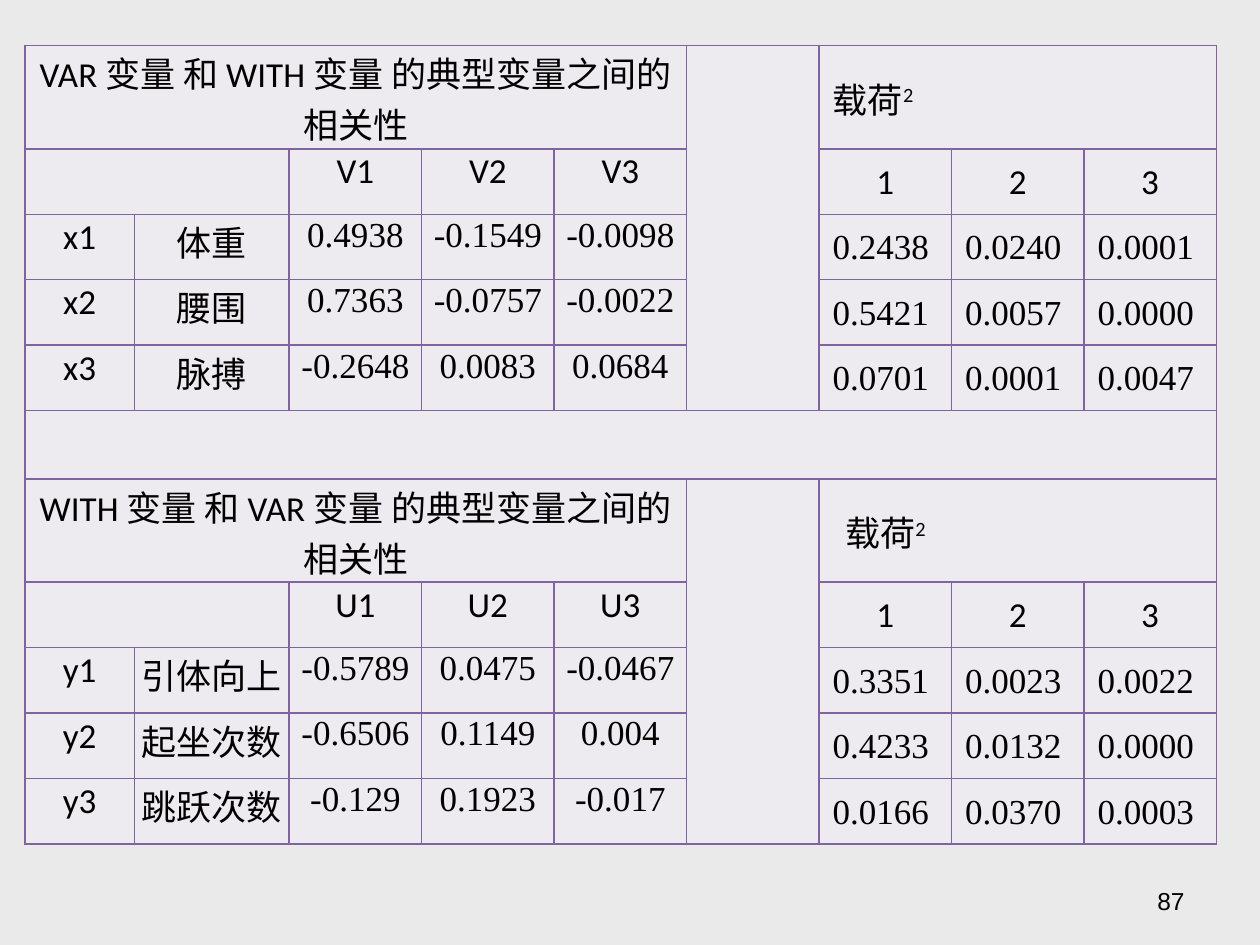
from dataclasses import dataclass

from lxml import etree
from pptx import Presentation
from pptx import util as u
from pptx.dml.color import RGBColor
from pptx.enum import text
from pptx.oxml import ns


@dataclass(frozen=True)
class Theme:
    background: str = "EAEAEA"
    cell: str = "EDEAF0"
    border: str = "8064A2"
    ink: str = "000000"
    label_font: str = "Calibri"
    number_font: str = "Times New Roman"
    page_font: str = "Arial"
    table_size: int = 20
    page_size: int = 14
    border_width: int = 1


THEME = Theme()
CENTER = text.PP_ALIGN.CENTER
MIDDLE = text.MSO_ANCHOR.MIDDLE
TOP = text.MSO_ANCHOR.TOP

COLUMN_WIDTHS = [2.21, 3.12] + [2.67] * 7
BLOCK_HEIGHTS = [1.73] + [1.32] * 4
ROW_HEIGHTS = BLOCK_HEIGHTS + [1.38] + BLOCK_HEIGHTS
GAP_ROW = 5
GAP_COLUMN = 5

BLOCKS = [
    dict(
        first_row=0,
        heading="VAR 变量 和 WITH 变量 的典型变量之间的相关性",
        indent=0.25,
        variates=["V1", "V2", "V3"],
        measures=[
            ("x1", "体重", ["0.4938", "-0.1549", "-0.0098"], ["0.2438", "0.0240", "0.0001"]),
            ("x2", "腰围", ["0.7363", "-0.0757", "-0.0022"], ["0.5421", "0.0057", "0.0000"]),
            ("x3", "脉搏", ["-0.2648", "0.0083", "0.0684"], ["0.0701", "0.0001", "0.0047"]),
        ],
    ),
    dict(
        first_row=6,
        heading="WITH 变量 和 VAR 变量 的典型变量之间的相关性",
        indent=0.5,
        variates=["U1", "U2", "U3"],
        measures=[
            ("y1", "引体向上", ["-0.5789", "0.0475", "-0.0467"], ["0.3351", "0.0023", "0.0022"]),
            ("y2", "起坐次数", ["-0.6506", "0.1149", "0.004"], ["0.4233", "0.0132", "0.0000"]),
            ("y3", "跳跃次数", ["-0.129", "0.1923", "-0.017"], ["0.0166", "0.0370", "0.0003"]),
        ],
    ),
]


def write(paragraph, wording, font=THEME.label_font, size=THEME.table_size,
          color=THEME.ink, align=None, indent=0, raised=False):
    if align is not None:
        paragraph.alignment = align
    if indent:
        paragraph._p.get_or_add_pPr().set("indent", str(u.Cm(indent)))
    run = paragraph.add_run()
    run.text = wording
    run.font.name = font
    run.font.size = u.Pt(size)
    run.font.color.rgb = RGBColor.from_string(color)
    if raised:
        run._r.get_or_add_rPr().set("baseline", "30000")


class SlideBuilder:
    def __init__(self, theme, slide):
        self.theme = theme
        self.slide = slide

    def background(self):
        fill = self.slide.background.fill
        fill.solid()
        fill.fore_color.rgb = RGBColor.from_string(self.theme.background)

    def table(self, left, top, widths, heights):
        frame = self.slide.shapes.add_table(
            len(heights), len(widths), u.Cm(left), u.Cm(top),
            u.Cm(sum(widths)), u.Cm(sum(heights)))
        grid = frame.table
        grid.first_row = grid.horz_banding = False
        for column, width in zip(grid.columns, widths):
            column.width = u.Cm(width)
        for row, height in zip(grid.rows, heights):
            row.height = u.Cm(height)
        for cell in grid.iter_cells():
            self.cell_style(cell)
        return grid

    def cell_style(self, cell):
        cell.margin_left = cell.margin_right = cell.margin_top = u.Cm(0.03)
        cell.margin_bottom = 0
        properties = cell._tc.get_or_add_tcPr()
        for side in ("lnL", "lnR", "lnT", "lnB"):
            line = etree.SubElement(properties, ns.qn(f"a:{side}"),
                                    w=str(u.Pt(self.theme.border_width)))
            solid = etree.SubElement(line, ns.qn("a:solidFill"))
            etree.SubElement(solid, ns.qn("a:srgbClr"), val=self.theme.border)
        cell.fill.solid()
        cell.fill.fore_color.rgb = RGBColor.from_string(self.theme.cell)

    def cells(self, grid, row, first_column, wordings, anchor=TOP, **style):
        for column, wording in enumerate(wordings, first_column):
            cell = grid.cell(row, column)
            cell.vertical_anchor = anchor
            write(cell.text_frame.paragraphs[0], wording, align=CENTER, **style)

    def block(self, grid, first_row, heading, indent, variates, measures):
        header_row = first_row + 1
        last_row = first_row + len(measures) + 1
        loading_column = GAP_COLUMN + 1
        for start, end in (
            ((first_row, 0), (first_row, GAP_COLUMN - 1)),
            ((first_row, GAP_COLUMN), (last_row, GAP_COLUMN)),
            ((first_row, loading_column), (first_row, loading_column + 2)),
            ((header_row, 0), (header_row, 1)),
        ):
            grid.cell(*start).merge(grid.cell(*end))

        self.cells(grid, first_row, 0, [heading])
        loading = grid.cell(first_row, loading_column)
        loading.vertical_anchor = MIDDLE
        loading_line = loading.text_frame.paragraphs[0]
        write(loading_line, "载荷", indent=indent)
        write(loading_line, "2", raised=True)

        self.cells(grid, header_row, 2, variates)
        self.cells(grid, header_row, loading_column, ["1", "2", "3"], MIDDLE)
        numbers = self.theme.number_font
        for row, (code, name, correlations, squares) in enumerate(measures, header_row + 1):
            self.cells(grid, row, 0, [code, name])
            self.cells(grid, row, 2, correlations, font=numbers)
            self.cells(grid, row, loading_column, [f"{square} " for square in squares],
                       MIDDLE, font=numbers)

    def page_number(self, number, left, top, width, height):
        box = self.slide.shapes.add_textbox(u.Cm(left), u.Cm(top), u.Cm(width), u.Cm(height))
        frame = box.text_frame
        frame.word_wrap = True
        frame.vertical_anchor = MIDDLE
        write(frame.paragraphs[0], number, font=self.theme.page_font,
              size=self.theme.page_size, align=text.PP_ALIGN.RIGHT)


def main():
    deck = Presentation()
    deck.slide_width, deck.slide_height = u.Cm(25.4), u.Cm(19.05)
    builder = SlideBuilder(THEME, deck.slides.add_slide(deck.slide_layouts[6]))
    builder.background()
    grid = builder.table(0.5, 0.92, COLUMN_WIDTHS, ROW_HEIGHTS)
    grid.cell(GAP_ROW, 0).merge(grid.cell(GAP_ROW, len(COLUMN_WIDTHS) - 1))
    for block in BLOCKS:
        builder.block(grid, **block)
    builder.page_number("87", 18.2, 17.66, 5.93, 1.01)
    deck.save("out.pptx")


if __name__ == "__main__":
    main()
